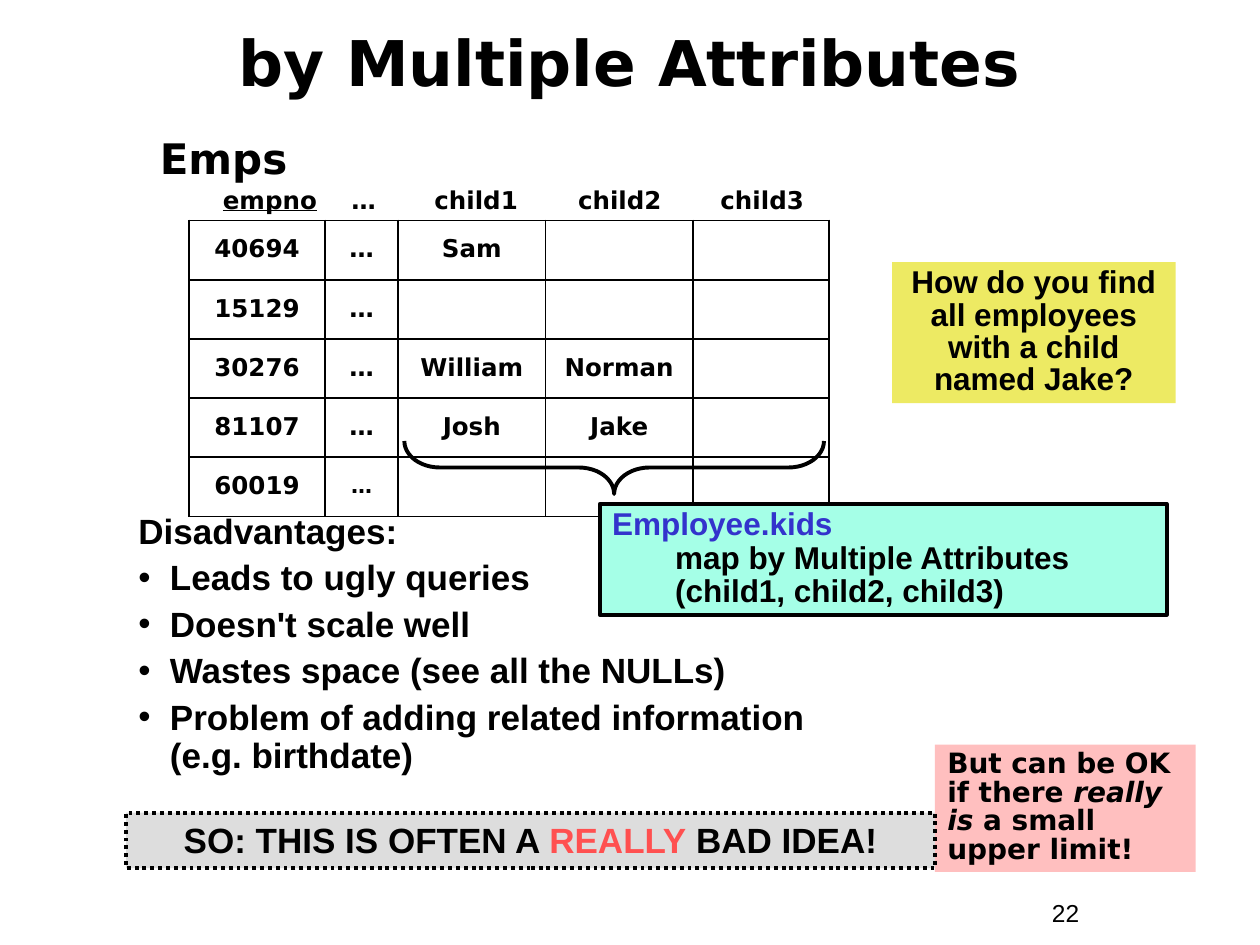
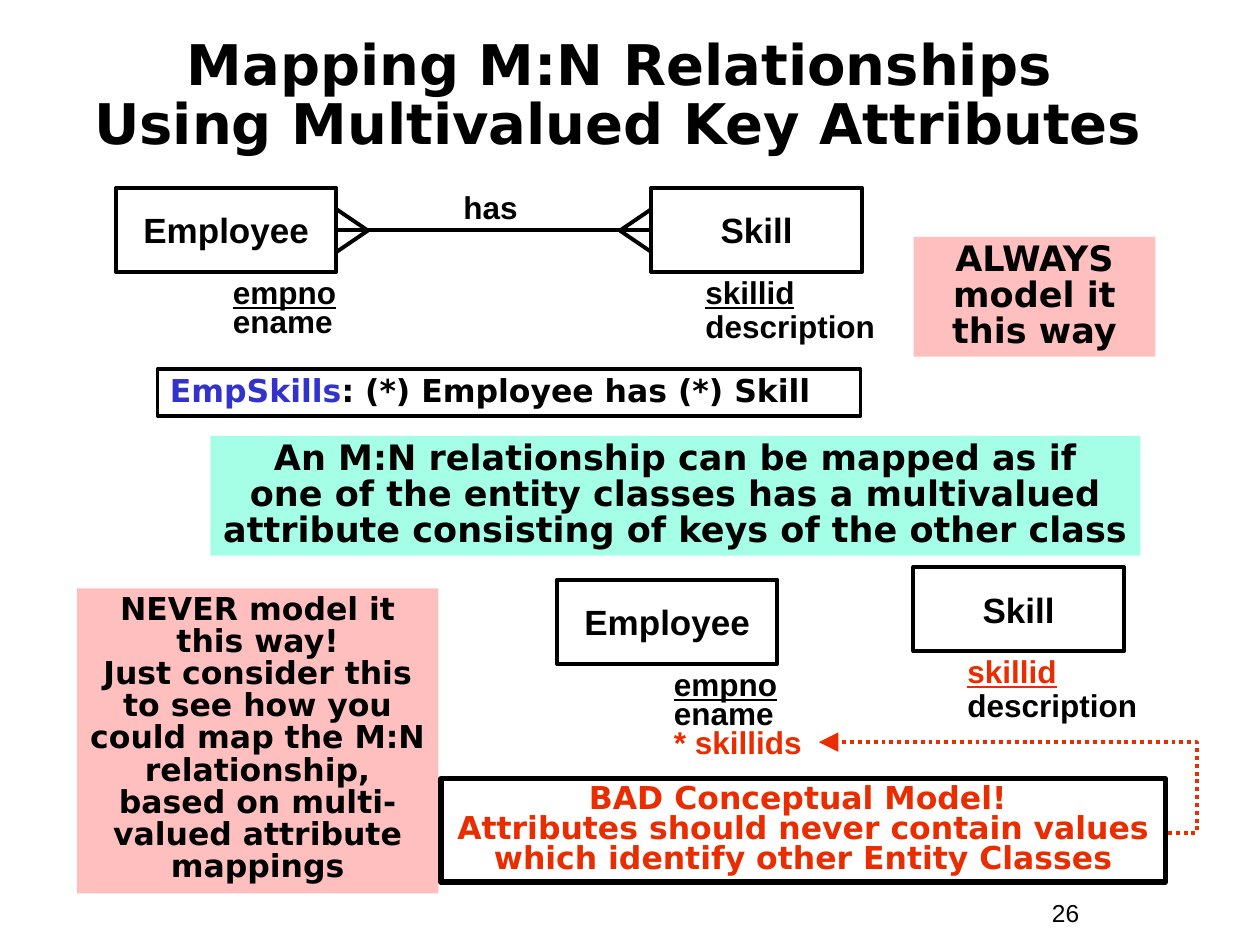
from lxml import etree
from pptx import Presentation
from pptx.dml.color import RGBColor
from pptx.enum import dml, shapes, text
from pptx.oxml import ns
from pptx.util import Inches, Pt

BLACK = RGBColor(0x00, 0x00, 0x00)
BLUE = RGBColor(0x33, 0x33, 0xCC)
RED = RGBColor(0xEA, 0x2D, 0x00)
CORAL = RGBColor(0xFF, 0x50, 0x50)
MINT = RGBColor(0xA5, 0xFF, 0xE7)
PINK = RGBColor(0xFF, 0xBF, 0xBF)
YELLOW = RGBColor(0xED, 0xEA, 0x63)
GRAY = RGBColor(0xDD, 0xDD, 0xDD)
SANS, HEAVY = "Arial", "DejaVu Sans"
CENTER = text.PP_ALIGN.CENTER
MIDDLE = text.MSO_ANCHOR.MIDDLE
UNDERLINE = {"underline": True}


def sub(parent, tag, **attrs):
    return etree.SubElement(parent, ns.qn(tag), attrs)


def add_tabs(p, stops):
    tab_list = sub(p._p.get_or_add_pPr(), "a:tabLst")
    for stop in stops:
        sub(tab_list, "a:tab", pos=str(Inches(stop)), algn="l")


def indent(p, left, first=0, bullet=None):
    pPr = p._p.get_or_add_pPr()
    pPr.set("marL", str(Inches(left)))
    pPr.set("indent", str(Inches(first)))
    if bullet:
        sub(pPr, "a:buFont", typeface=SANS)
        sub(pPr, "a:buChar", char=bullet)


def style_font(font, color=None, size=None, underline=None, italic=None):
    if color is not None:
        font.color.rgb = color
    if size:
        font.size = Pt(size)
    if underline:
        font.underline = True
    if italic:
        font.italic = True


def write(tf, paras, name=SANS, size=18, color=BLACK, bold=True, align=None,
          spacing=None, before=0, tabs=(), layout=None):
    """Fill tf; a paragraph is a list of strings or (string, style) pairs."""
    for i, runs in enumerate(paras):
        p = tf.paragraphs[0] if i == 0 else tf.add_paragraph()
        if align is not None:
            p.alignment = align
        if spacing:
            p.line_spacing = spacing
        p.space_before = Pt(before if i else 0)
        if layout and layout[i]:
            indent(p, *layout[i])
        if tabs:
            add_tabs(p, tabs)
        p.font.name, p.font.bold = name, bold
        style_font(p.font, color, size)
        for run in runs:
            words, style = (run, {}) if isinstance(run, str) else run
            for n, line in enumerate(words.split("\n")):
                if n:
                    p.add_line_break()
                r = p.add_run()
                r.text = line
                style_font(r.font, **style)


def label(s, box, paras, **style):
    tf = s.shapes.add_textbox(*map(Inches, box)).text_frame
    tf.word_wrap = True
    write(tf, paras, **style)
    return tf


def panel(s, box, paras, fill=None, line=None, dash=None, anchor=text.MSO_ANCHOR.TOP, **style):
    sp = s.shapes.add_shape(shapes.MSO_SHAPE.RECTANGLE, *map(Inches, box))
    sp.shadow.inherit = False
    if fill is None:
        sp.fill.background()
    else:
        sp.fill.solid()
        sp.fill.fore_color.rgb = fill
    if line:
        sp.line.color.rgb, sp.line.width = BLACK, Pt(line)
        if dash:
            sp.line.dash_style = dash
    else:
        sp.line.fill.background()
    tf = sp.text_frame
    tf.word_wrap, tf.vertical_anchor = True, anchor
    write(tf, paras, **{"align": text.PP_ALIGN.LEFT, **style})
    return sp


def connect(s, start, end, color=BLACK, kind=shapes.MSO_CONNECTOR.STRAIGHT):
    c = s.shapes.add_connector(kind, *map(Inches, start + end))
    c.line.color.rgb, c.line.width = color, Pt(2.25)
    sub(c._element.spPr, "a:effectLst")
    return c


def titled_slide(prs, box, title, size, number):
    s = prs.slides.add_slide(prs.slide_layouts[5])
    sp = s.shapes.title
    sp.left, sp.top, sp.width, sp.height = map(Inches, box)
    tf = sp.text_frame
    tf.auto_size, tf.word_wrap, tf.vertical_anchor = text.MSO_AUTO_SIZE.NONE, True, MIDDLE
    write(tf, [title], HEAVY, size, align=CENTER, spacing=0.8)
    label(s, (8.25, 7.08, 0.92, 0.34), [[number]], size=14, bold=False)
    return s


def border_cell(cell):
    tcPr = cell._tc.get_or_add_tcPr()
    for side in ("a:lnL", "a:lnR", "a:lnT", "a:lnB"):
        ln = sub(tcPr, side, w=str(Pt(1.08)))
        sub(sub(ln, "a:solidFill"), "a:srgbClr", val=str(BLACK))
    cell.fill.background()


def emps_table(s, left, top):
    """Relation name, column heads and the bordered rows below them."""
    rows = [
        ["40694", "…", "Sam", "", ""],
        ["15129", "…", "", "", ""],
        ["30276", "…", "William", "Norman", ""],
        ["81107", "…", "Josh", "Jake", ""],
        ["60019", ("…", {"size": 12}), "", "", ""],
    ]
    widths = [1.08, 0.58, 1.17, 1.17, 1.08]
    row_height = 0.47
    label(s, (left - 0.33, top, 2.33, 0.5), [["Emps"]], name=HEAVY, size=24)
    label(s, (left + 0.17, top + 0.42, 4.83, 0.34),
          [[("empno", UNDERLINE), "\t…\tchild1\tchild2\tchild3"]],
          name=HEAVY, size=14, tabs=(1.02, 1.68, 2.82, 3.95))
    table = s.shapes.add_table(
        len(rows), len(widths), Inches(left), Inches(top + 0.75),
        Inches(sum(widths)), Inches(row_height * len(rows))).table
    table.first_row = table.horz_banding = False
    for column, width in zip(table.columns, widths):
        column.width = Inches(width)
    for i, row in enumerate(rows):
        table.rows[i].height = Inches(row_height)
        for j, value in enumerate(row):
            cell = table.cell(i, j)
            border_cell(cell)
            cell.vertical_anchor = MIDDLE
            if value:
                write(cell.text_frame, [[value]], HEAVY, 14, align=CENTER, spacing=0.9)


def brace_below(s, left, top, width, depth):
    """Brace that opens upwards: a left brace turned a quarter to the left."""
    sp = s.shapes.add_shape(
        shapes.MSO_SHAPE.LEFT_BRACE, Inches(left + (width - depth) / 2),
        Inches(top + (depth - width) / 2), Inches(depth), Inches(width))
    sp.rotation = 270
    sp.adjustments[0] = 0.67
    sp.shadow.inherit = False
    sp.fill.background()
    sp.line.color.rgb, sp.line.width = BLACK, Pt(2.25)


def disadvantages(s, box):
    points = ["Leads to ugly queries", "Doesn't scale well",
              "Wastes space (see all the NULLs)",
              "Problem of adding related information (e.g. birthdate)"]
    label(s, box, [["Disadvantages:"]] + [[point] for point in points],
          size=20, spacing=0.9, before=5,
          layout=[(0.25, -0.25)] + [(0.25, -0.25, "•")] * len(points))


def attributes_slide(prs):
    s = titled_slide(prs, (0.33, 0.25, 9.33, 0.58), ["by Multiple Attributes"], 36, "22")
    emps_table(s, 1.5, 1)
    disadvantages(s, (1, 4.03, 5.75, 2.18))
    brace_below(s, 3.21, 3.5, 3.33, 0.42)
    panel(s, (4.76, 4, 4.5, 0.88),
          [[("Employee.kids", {"color": BLUE})],
           ["map by Multiple Attributes\n(child1, child2, child3)"]],
          MINT, 2.25, spacing=0.85, before=1.1, layout=[None, (0.5,)])
    panel(s, (7.42, 5.91, 2.07, 1.01),
          [["But can be OK if there ", ("really is", {"italic": True}),
            " a small upper limit!"]],
          PINK, name=HEAVY, size=16, spacing=0.85)
    panel(s, (1, 6.45, 6.42, 0.44),
          [["SO: THIS IS OFTEN A ", ("REALLY", {"color": CORAL}), " BAD IDEA!"]],
          GRAY, 2.25, dml.MSO_LINE.ROUND_DOT, size=20, align=CENTER)
    panel(s, (7.08, 2.08, 2.25, 1.12),
          [["How do you find all employees with a child named Jake?"]],
          YELLOW, align=CENTER, spacing=0.85)


def entity(s, left, top, width, name, attributes, shift, attr_spacing):
    """Entity box with its attributes below, shifted from its left side."""
    height = 0.67
    sp = panel(s, (left, top, width, height), [[name]], line=2.25,
               anchor=MIDDLE, size=20, align=CENTER)
    tf = label(s, (left + shift, top + height - 0.01, 1.67, 0.1 + 0.26 * len(attributes)),
               [[a] for a in attributes], spacing=0.9)
    for p in tf.paragraphs[1:]:
        p.line_spacing = attr_spacing
    return sp


def employee(s, left, top, *more):
    return entity(s, left, top, 1.75, "Employee",
                  [("empno", UNDERLINE), "ename", *more], 0.83, 0.75)


def skill(s, left, top, key_color=BLACK):
    key = ("skillid", {"color": key_color, **UNDERLINE})
    return entity(s, left, top, 1.67, "Skill", [key, "description"], 0.33, 0.9)


def has_relationship(s, left, top):
    """Employee and Skill joined by a many-to-many line."""
    many, one = employee(s, left, top), skill(s, left + 4.25, top)
    y, start, end = top + 0.34, left + 1.75, left + 4.25
    c = connect(s, (start, y), (end, y))
    c.begin_connect(many, 3)
    c.end_connect(one, 1)
    for edge, tip in ((start, start + 0.25), (end, end - 0.25)):
        for dy in (-0.17, 0.17):
            connect(s, (tip, y), (edge, y + dy))
    label(s, (left + 2.66, top, 0.83, 0.36), [["has"]], spacing=0.85)


def key_arrow(s, start, end):
    c = connect(s, start, end, RED, shapes.MSO_CONNECTOR.ELBOW)
    c.line.dash_style = dml.MSO_LINE.ROUND_DOT
    spPr = c._element.spPr
    sub(spPr.find(ns.qn("a:ln")), "a:tailEnd", type="triangle", w="lg", len="lg")
    guides = spPr.find(ns.qn("a:prstGeom")).find(ns.qn("a:avLst"))
    sub(guides, "a:gd", name="adj1", fmla="val -8300")


def relationships_slide(prs):
    s = titled_slide(
        prs, (0.33, 0.33, 9.33, 0.92),
        ["Mapping M:N Relationships \nUsing Multivalued Key Attributes", (" ", {"size": 36})],
        32, "26")
    has_relationship(s, 0.92, 1.49)
    panel(s, (1.25, 2.93, 5.58, 0.37),
          [[("EmpSkills", {"color": BLUE}), ": (*) Employee has (*) Skill"]],
          line=2.25, name=HEAVY, spacing=0.9)
    employee(s, 4.42, 4.6, ("* skillids", {"color": RED}))
    skill(s, 7.25, 4.5, RED)
    notes = [
        ((1.67, 3.46, 7.38, 0.95), MINT, 20,
         "An M:N relationship can be mapped as if\none of the entity classes has a "
         "multivalued attribute consisting of keys of the other class"),
        ((0.61, 4.67, 2.87, 2.42), PINK, 18,
         "NEVER model it this way!\nJust consider this to see how you could map the M:N "
         "relationship, based on multi-valued attribute mappings"),
        ((7.25, 1.88, 1.92, 0.95), PINK, 20, "ALWAYS\nmodel it this way"),
    ]
    for box, fill, size, words in notes:
        panel(s, box, [[words]], fill, name=HEAVY, size=size, align=CENTER, spacing=0.85)
    panel(s, (3.5, 6.18, 5.75, 0.82),
          [["BAD Conceptual Model! \nAttributes should never contain values "
            "which identify other Entity Classes"]],
          line=3, name=HEAVY, color=RED, align=CENTER, spacing=0.8)
    key_arrow(s, (9.27, 6.61), (6.5, 5.89))


def main():
    prs = Presentation()
    prs.slide_width, prs.slide_height = Inches(10), Inches(7.5)
    attributes_slide(prs)
    relationships_slide(prs)
    prs.save("out.pptx")


if __name__ == "__main__":
    main()
